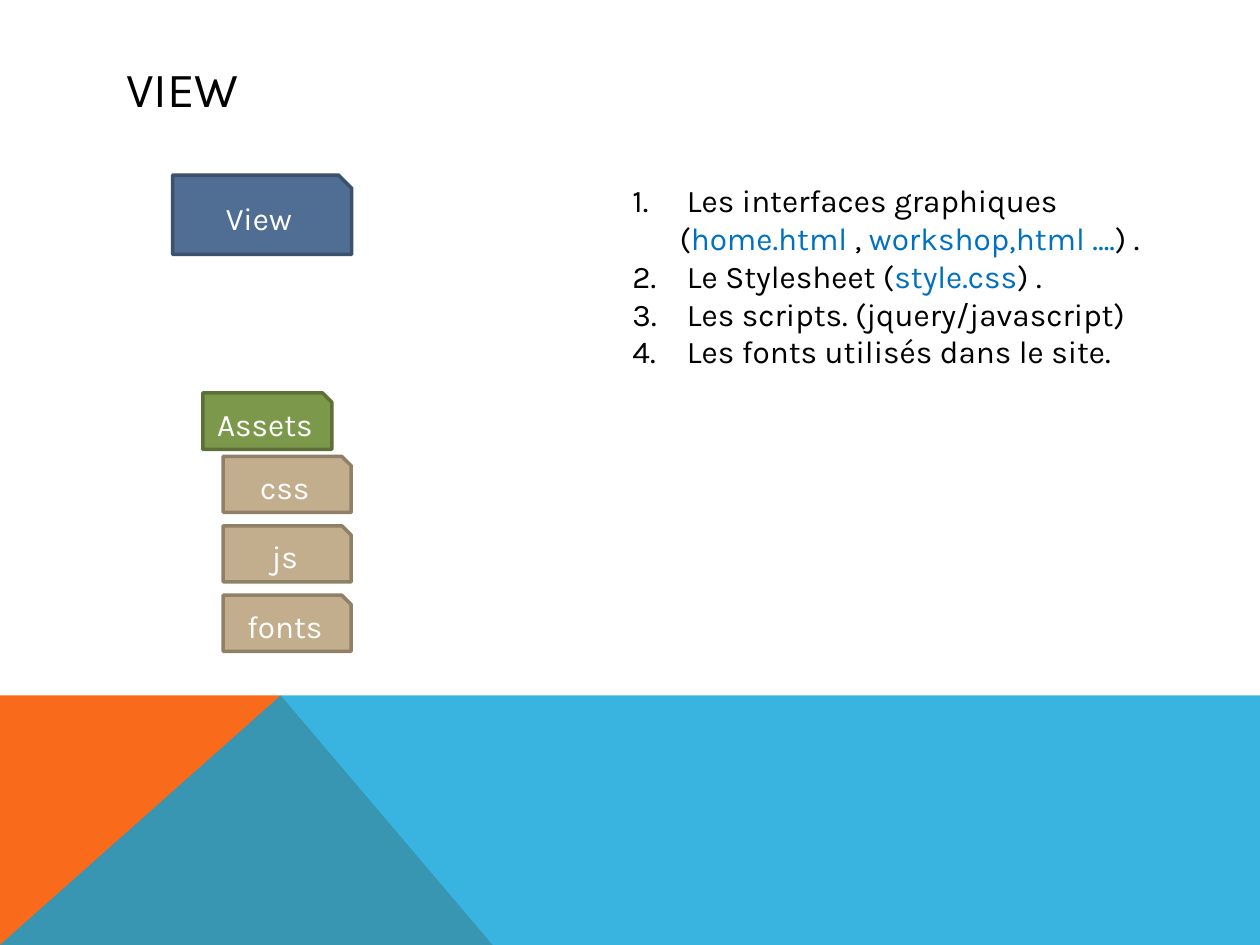
from lxml.etree import SubElement
from pptx import Presentation
from pptx.dml.color import RGBColor
from pptx.enum.shapes import MSO_SHAPE as Shape
from pptx.enum.text import MSO_ANCHOR as Anchor, MSO_AUTO_SIZE as Fit, PP_ALIGN as Align
from pptx.oxml.ns import qn
from pptx.util import Cm, Pt

WIDE, HIGH = 25.4, 19.05
BAND, PEAK = 14.02, 5.66
BLACK, WHITE, LINK = "000000", "FFFFFF", "0070C0"


def paint(target, color):
    """Give a fill a solid colour."""
    target.solid()
    target.fore_color.rgb = RGBColor.from_string(color)


def write(para, text, font="Karla", size=18, color=BLACK):
    run = para.add_run()
    run.text = text
    run.font.name = font
    run.font.size = Pt(size)
    paint(run.font.fill, color)


class Deck:
    def __init__(self):
        self.prs = Presentation()
        self.prs.slide_width, self.prs.slide_height = Cm(WIDE), Cm(HIGH)
        self.slide = self.prs.slides.add_slide(self.prs.slide_layouts[5])
        self.shapes = self.slide.shapes

    def title(self, text, x, y, w, h):
        box = self.shapes.title
        box.left, box.top, box.width, box.height = map(Cm, (x, y, w, h))
        frame = box.text_frame
        frame.vertical_anchor = Anchor.MIDDLE
        para = frame.paragraphs[0]
        para.alignment = Align.LEFT
        write(para, text, size=28)

    def area(self, points, color, alpha=None):
        """Draw a closed outline, with alpha as percent opacity."""
        first, *rest = [(Cm(x), Cm(y)) for x, y in points]
        path = self.shapes.build_freeform(*first)
        path.add_line_segments(rest, close=True)
        form = path.convert_to_shape()
        form.shadow.inherit = False
        form.line.fill.background()
        paint(form.fill, color)
        if alpha:
            tone = form.fill._xPr.find(".//" + qn("a:srgbClr"))
            SubElement(tone, qn("a:alpha"), val=str(alpha * 1000))

    def folder(self, text, x, y, w, h, fill, edge):
        card = self.shapes.add_shape(Shape.SNIP_1_RECTANGLE, *map(Cm, (x, y, w, h)))
        card.shadow.inherit = False
        paint(card.fill, fill)
        paint(card.line.fill, edge)
        card.line.width = Pt(2)
        frame = card.text_frame
        frame.vertical_anchor = Anchor.MIDDLE
        para = frame.paragraphs[0]
        para.alignment = Align.CENTER
        write(para, text, color=WHITE)

    def steps(self, items, x, y, w, h):
        """Add a numbered list; each item is a list of (text, color) parts."""
        frame = self.shapes.add_textbox(*map(Cm, (x, y, w, h))).text_frame
        frame.word_wrap = True
        frame.auto_size = Fit.SHAPE_TO_FIT_TEXT
        for i, parts in enumerate(items):
            para = frame.add_paragraph() if i else frame.paragraphs[0]
            props = para._p.get_or_add_pPr()
            props.set("marL", str(Cm(0.95)))
            props.set("indent", str(-Cm(0.95)))
            SubElement(props, qn("a:buFont"), typeface="+mj-lt")
            SubElement(props, qn("a:buAutoNum"), type="arabicPeriod")
            for text, color in parts:
                write(para, text, color=color)


def main():
    deck = Deck()
    deck.area([(0, HIGH), (0, BAND), (PEAK, BAND), (9.93, HIGH)], "F96A1B")
    deck.area([(0, HIGH), (PEAK, BAND), (WIDE, BAND), (WIDE, HIGH)], "08A1D9", alpha=80)
    deck.title("VIEW", 2.29, 1.02, 20.88, 1.52)

    deck.folder("View", 3.48, 3.53, 3.61, 1.6, "506E94", "3B516D")
    deck.folder("Assets", 4.09, 7.92, 2.6, 1.14, "7C984A", "5C7037")
    for i, name in enumerate(["css", "js", "fonts"]):
        deck.folder(name, 4.5, 9.2 + 1.4 * i, 2.58, 1.13, "C2AD8D", "908068")

    deck.steps([
        [(" Les interfaces graphiques (", BLACK), ("home.html ", LINK), (", ", BLACK),
         ("workshop,html ….", LINK), (") .", BLACK)],
        [(" Le Stylesheet (", BLACK), ("style.css", LINK), (") .", BLACK)],
        [(" Les scripts. (jquery/javascript)", BLACK)],
        [(" Les fonts utilisés dans le site.", BLACK)],
    ], 12.5, 3.53, 12, 4.11)
    deck.prs.save("out.pptx")


if __name__ == "__main__":
    main()
